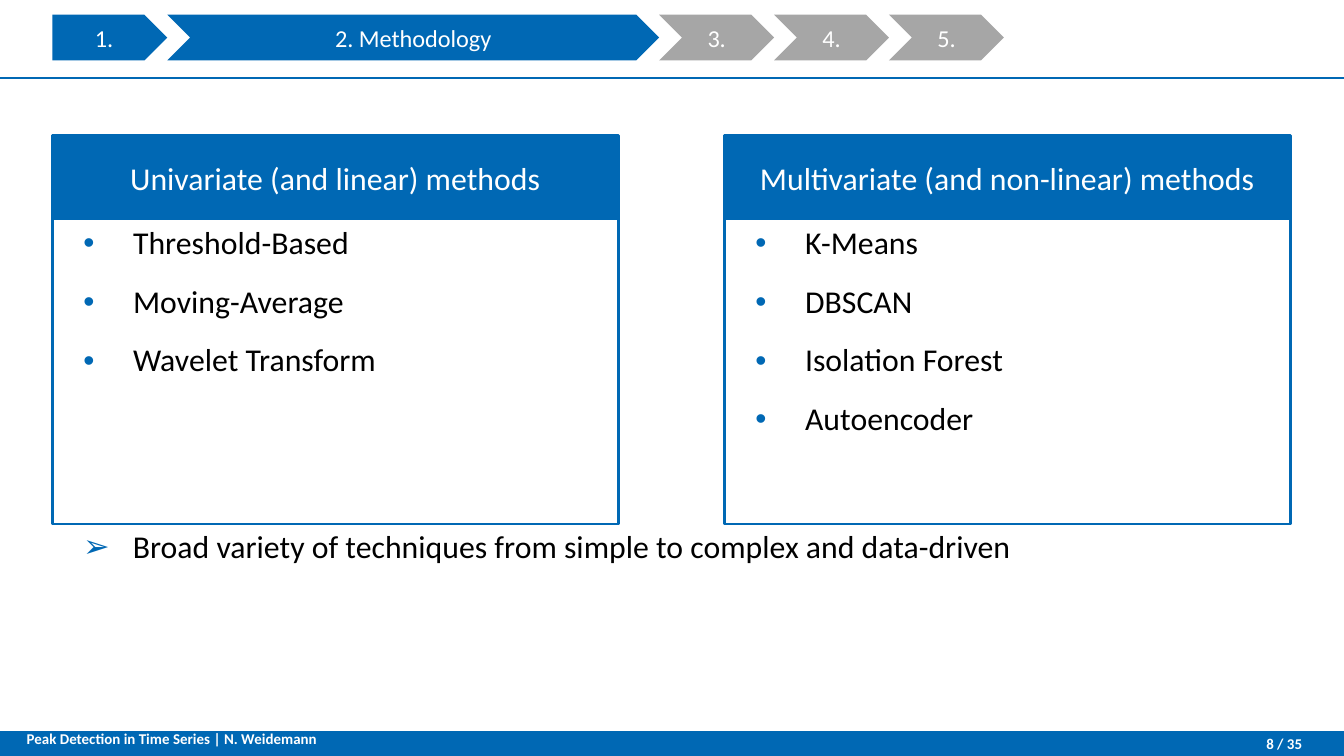
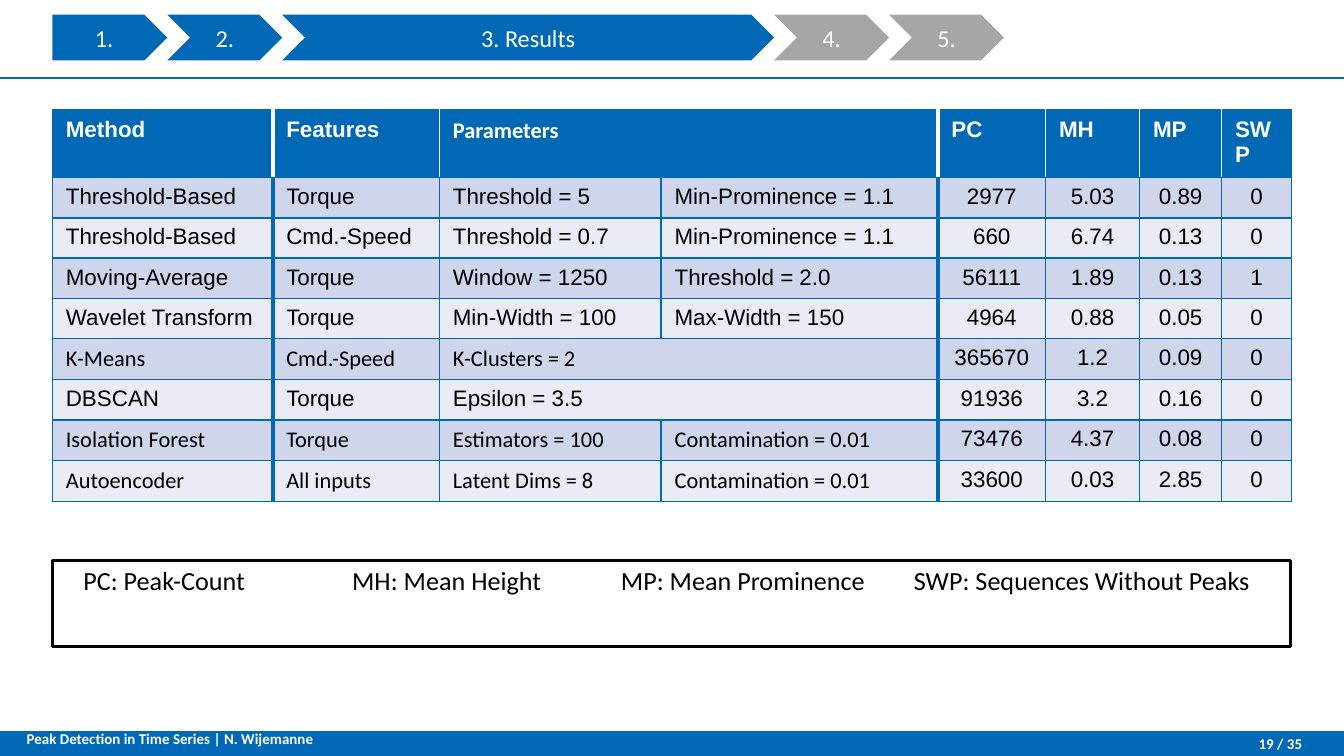
import pptx
import pptx.util
import pptx.dml.color
import pptx.enum.shapes
import pptx.enum.text
import pptx.oxml
import pptx.oxml.ns

Inches = pptx.util.Inches
Pt = pptx.util.Pt
SHAPE = pptx.enum.shapes.MSO_SHAPE
ALIGN = pptx.enum.text.PP_ALIGN
ANCHOR = pptx.enum.text.MSO_ANCHOR

COLORS = {
    "blue": "0068B4",
    "gray": "A6A6A6",
    "white": "FFFFFF",
    "black": "000000",
    "band_dark": "CFD5EA",
    "band_light": "E9EBF5",
}
LEFT, CONTENT_WIDTH = 0.39, 9.21
PANEL_WIDTH, PANEL_STEP = 4.21, 5.0
PANEL_TOP, HEADER_HEIGHT, LIST_HEIGHT = 1.01, 0.62, 2.27
NAV_WIDTH, NAV_OPEN_WIDTH, NAV_COUNT = 7.08, 3.66, 5
PAGE_COUNT = 35
TWO_CONTENT, BLANK = 3, 6

METHOD_PANELS = [
    ("Univariate (and linear) methods",
     ["Threshold-Based", "Moving-Average", "Wavelet Transform"]),
    ("Multivariate (and non-linear) methods",
     ["K-Means", "DBSCAN", "Isolation Forest", "Autoencoder"]),
]
RESULT_COLUMNS = [1.64, 1.24, 1.65, 2.06, 0.8, 0.7, 0.61, 0.52]
# None continues the cell to its left.
RESULT_ROWS = [
    ["Method", "Features", "Parameters", None, "PC", "MH", "MP", "SWP"],
    ["Threshold-Based", "Torque", "Threshold = 5", "Min-Prominence = 1.1", "2977", "5.03", "0.89", "0"],
    ["Threshold-Based", "Cmd.-Speed", "Threshold = 0.7", "Min-Prominence = 1.1", "660", "6.74", "0.13", "0"],
    ["Moving-Average", "Torque", "Window = 1250", "Threshold = 2.0", "56111", "1.89", "0.13", "1"],
    ["Wavelet Transform", "Torque", "Min-Width = 100", "Max-Width = 150", "4964", "0.88", "0.05", "0"],
    ["K-Means", "Cmd.-Speed", "K-Clusters = 2", None, "365670", "1.2", "0.09", "0"],
    ["DBSCAN", "Torque", "Epsilon = 3.5", None, "91936", "3.2", "0.16", "0"],
    ["Isolation Forest", "Torque", "Estimators = 100", "Contamination = 0.01", "73476", "4.37", "0.08", "0"],
    ["Autoencoder", "All inputs", "Latent Dims = 8", "Contamination = 0.01", "33600", "0.03", "2.85", "0"],
]
CALIBRI_METHODS = {"K-Means", "Isolation Forest", "Autoencoder"}
FIRST_NUMBER_COLUMN = 4
THICK_EDGES = {1, FIRST_NUMBER_COLUMN}
ABBREVIATIONS = ["PC: Peak-Count", "MH: Mean Height", "MP: Mean Prominence",
                 "SWP: Sequences Without Peaks"]
ABBREVIATION_TABS = [2, 4, 6.18]


def rgb(name):
    return pptx.dml.color.RGBColor.from_string(COLORS[name])


def box(left, top, width, height):
    return Inches(left), Inches(top), Inches(width), Inches(height)


def add_xml(parent, markup):
    """Append an element; its tag name must be followed by a space."""
    namespace = pptx.oxml.ns.nsdecls("a")
    tag, rest = markup[1:].split(" ", 1)
    parent.append(pptx.oxml.parse_xml(f"<{tag} {namespace} {rest}"))


class Deck:
    def __init__(self):
        self.presentation = pptx.Presentation()
        self.presentation.slide_width = Inches(10)
        self.presentation.slide_height = Inches(10) * 9 // 16
        self.slide = None

    def start_slide(self, layout, page, author, section, section_title):
        """Add a slide with its band, rule, section arrows and footer."""
        self.slide = self.presentation.slides.add_slide(
            self.presentation.slide_layouts[layout])
        title = self.slide.shapes.title
        if title is not None:
            title.element.getparent().remove(title.element)
        self.rectangle(box(0, 5.44, 10, 0.19), fill="blue")
        self.rule(0.58)
        self.navigation(section, section_title)
        self.footer_text(f"Peak Detection in Time Series | {author}",
                         box(0.1, 5.36, 4.34, 0.34), (0.1, 0.07, 0.1, 0.1))
        self.footer_text(f"{page} / {PAGE_COUNT}", box(8.75, 5.44, 0.94, 0.19),
                         (0.1, 0.05, 0, 0.05), ALIGN.RIGHT, ANCHOR.MIDDLE)

    def font(self, paragraph, size, color="black", bold=False, name="Calibri"):
        paragraph.font.name = name
        paragraph.font.size = Pt(size)
        paragraph.font.bold = bold
        paragraph.font.color.rgb = rgb(color)

    def outline(self, shape, color):
        if color:
            shape.line.color.rgb = rgb(color)
            shape.line.width = Pt(1.5)
        else:
            shape.line.fill.background()

    def frame(self, shape, insets=(0.1, 0.05, 0.1, 0.05), anchor=ANCHOR.TOP):
        frame = shape.text_frame
        frame.word_wrap = True
        frame.auto_size = pptx.enum.text.MSO_AUTO_SIZE.NONE
        frame.vertical_anchor = anchor
        (frame.margin_left, frame.margin_top,
         frame.margin_right, frame.margin_bottom) = map(Inches, insets)
        return frame

    def rectangle(self, place, fill=None, line=None, shapes=None, kind=SHAPE.RECTANGLE):
        shape = (shapes or self.slide.shapes).add_shape(kind, *place)
        shape.shadow.inherit = False
        if fill:
            shape.fill.solid()
            shape.fill.fore_color.rgb = rgb(fill)
        else:
            shape.fill.background()
        self.outline(shape, line)
        return shape

    def label(self, shape, text, size):
        paragraph = self.frame(shape, (0, 0, 0, 0), ANCHOR.MIDDLE).paragraphs[0]
        paragraph.text = text
        paragraph.alignment = ALIGN.CENTER
        self.font(paragraph, size, "white")

    def rule(self, top):
        line = self.slide.shapes.add_connector(
            pptx.enum.shapes.MSO_CONNECTOR.STRAIGHT,
            Inches(10), Inches(top), Inches(0), Inches(top))
        self.outline(line, "blue")
        add_xml(line.element.spPr, "<a:effectLst />")

    def navigation(self, section, section_title):
        """Draw the section arrows, blue up to the open one, which is wide."""
        shapes = self.slide.shapes.add_group_shape().shapes
        closed_width = (NAV_WIDTH - NAV_OPEN_WIDTH) / (NAV_COUNT - 1)
        left = LEFT
        for number in range(1, NAV_COUNT + 1):
            is_open = number == section
            width = NAV_OPEN_WIDTH if is_open else closed_width
            arrow = self.rectangle(
                box(left, 0.11, width, 0.34), "blue" if number <= section else "gray",
                shapes=shapes, kind=SHAPE.PENTAGON if number == 1 else SHAPE.CHEVRON)
            self.label(arrow, f"{number}. {section_title}" if is_open else f"{number}.", 13)
            left += width

    def footer_text(self, text, place, insets, alignment=ALIGN.LEFT, anchor=ANCHOR.TOP):
        shape = self.slide.shapes.add_textbox(*place)
        paragraph = self.frame(shape, insets, anchor).paragraphs[0]
        paragraph.text = text
        paragraph.alignment = alignment
        self.font(paragraph, 8, "white", bold=True)

    def bullets(self, shape, items, bullet="•"):
        frame = self.frame(shape)
        for index, item in enumerate(items):
            paragraph = frame.add_paragraph() if index else frame.paragraphs[0]
            paragraph.text = item
            paragraph.line_spacing = 0.95
            paragraph.space_before = Pt(12 if index else 0)
            properties = paragraph._p.get_or_add_pPr()
            properties.set("marL", str(Inches(0.5)))
            properties.set("indent", str(Inches(-0.37)))
            add_xml(properties, f'<a:buClr ><a:srgbClr val="{COLORS["blue"]}"/></a:buClr>')
            add_xml(properties, '<a:buFont typeface="Arial"/>')
            add_xml(properties, f'<a:buChar char="{bullet}"/>')
            self.font(paragraph, 17)

    def panel(self, column, heading, items):
        """Place a headed list, in the left (0) or right (1) column."""
        left = LEFT + column * PANEL_STEP
        header = self.rectangle(box(left, PANEL_TOP, PANEL_WIDTH, HEADER_HEIGHT), "blue", "blue")
        self.label(header, heading, 17)
        body = self.slide.placeholders[column + 1]
        body.left, body.top, body.width, body.height = box(
            left, PANEL_TOP + HEADER_HEIGHT, PANEL_WIDTH, LIST_HEIGHT)
        self.outline(body, "blue")
        self.bullets(body, items)

    def conclusion(self, text):
        shape = self.slide.shapes.add_textbox(*box(LEFT, 3.89, CONTENT_WIDTH, 0.91))
        self.bullets(shape, [text], "➢")

    def cell_borders(self, cell, row, column):
        end = column + (cell.span_width if cell.is_merge_origin else 1)
        for side, edge in (("L", column), ("R", end), ("T", None), ("B", None)):
            inner = edge is not None and 0 < edge < len(RESULT_COLUMNS)
            color = "white" if row == 0 and inner else "blue"
            width = Pt(2.25 if edge in THICK_EDGES else 1)
            add_xml(cell._tc.get_or_add_tcPr(),
                    f'<a:ln{side} w="{width}"><a:solidFill><a:srgbClr val="{COLORS[color]}"/>'
                    f"</a:solidFill></a:ln{side}>")

    def result_table(self):
        table = self.slide.shapes.add_table(
            len(RESULT_ROWS), len(RESULT_COLUMNS), *box(LEFT, 0.82, CONTENT_WIDTH, 2.9)).table
        for column, width in zip(table.columns, RESULT_COLUMNS):
            column.width = Inches(width)
        for row, values in enumerate(RESULT_ROWS):
            table.rows[row].height = Inches(0.3 if row else 0.5)
            for column, text in enumerate(values):
                if text is None:
                    table.cell(row, column - 1).merge(table.cell(row, column))
            for column, text in enumerate(values):
                cell = table.cell(row, column)
                self.cell_borders(cell, row, column)
                cell.fill.solid()
                band = "band_dark" if row % 2 else "band_light"
                cell.fill.fore_color.rgb = rgb(band if row else "blue")
                if text is None:
                    continue
                is_number = column >= FIRST_NUMBER_COLUMN
                calibri = text == "Parameters" or (values[0] in CALIBRI_METHODS and not is_number)
                paragraph = cell.text_frame.paragraphs[0]
                paragraph.text = text
                paragraph.alignment = ALIGN.CENTER if row and is_number else ALIGN.LEFT
                self.font(paragraph, 12, "black" if row else "white", row == 0,
                          "Calibri" if calibri else "Arial")

    def abbreviations(self):
        shape = self.rectangle(box(LEFT, 4.17, CONTENT_WIDTH, 0.64), line="black")
        paragraph = self.frame(shape, (0.23, 0.05, 0.1, 0.05)).paragraphs[0]
        paragraph.text = "\t".join(ABBREVIATIONS)
        paragraph.alignment = ALIGN.LEFT
        paragraph.line_spacing = 0.95
        stops = "".join(f'<a:tab pos="{Inches(stop)}" algn="l"/>' for stop in ABBREVIATION_TABS)
        add_xml(paragraph._p.get_or_add_pPr(), f"<a:tabLst >{stops}</a:tabLst>")
        self.font(paragraph, 14)


def main():
    deck = Deck()
    deck.start_slide(TWO_CONTENT, 8, "N. Weidemann", 2, "Methodology")
    for column, (heading, items) in enumerate(METHOD_PANELS):
        deck.panel(column, heading, items)
    deck.conclusion("Broad variety of techniques from simple to complex and data-driven")

    deck.start_slide(BLANK, 19, "N. Wijemanne", 3, "Results")
    deck.result_table()
    deck.abbreviations()
    deck.presentation.save("out.pptx")


if __name__ == "__main__":
    main()
